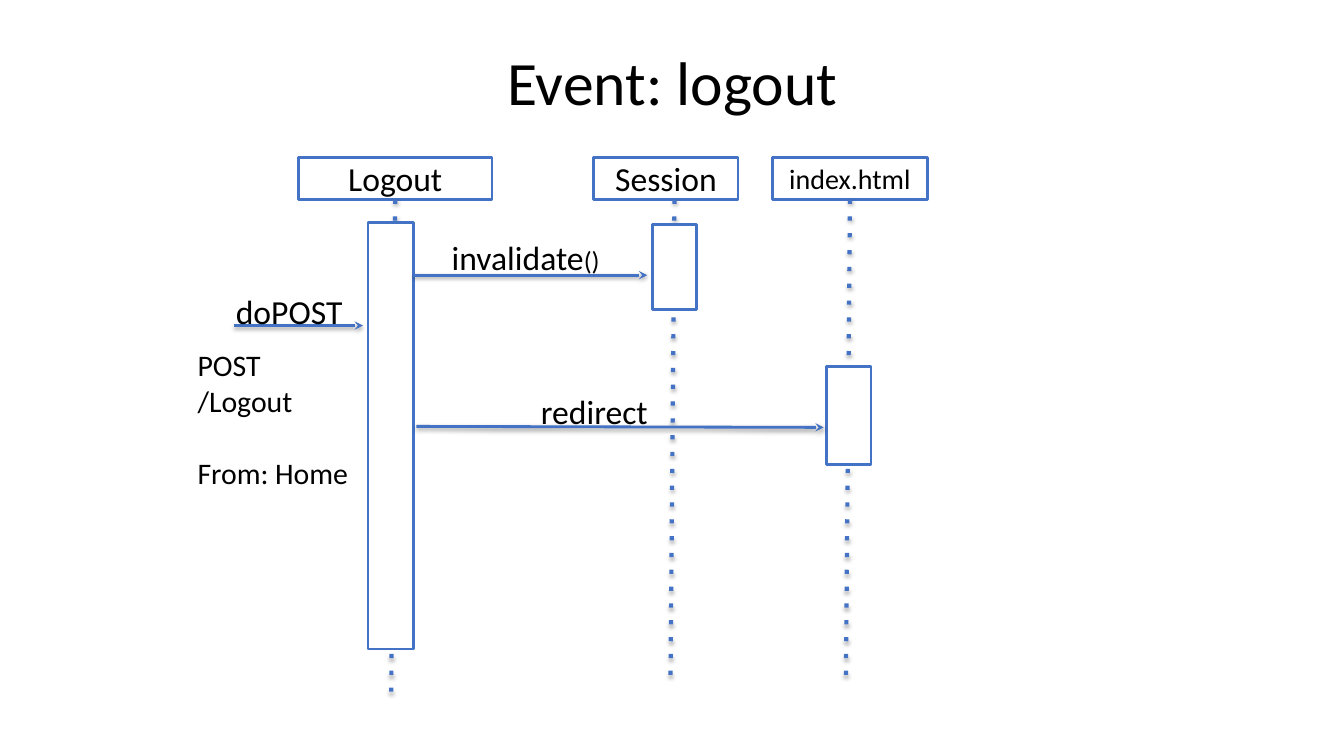
"""Build the sequence diagram slide for the logout event."""
from dataclasses import dataclass

from lxml import etree
from pptx import Presentation
from pptx.dml.color import RGBColor
from pptx.enum.shapes import MSO_CONNECTOR, MSO_SHAPE
from pptx.enum.text import MSO_ANCHOR, MSO_AUTO_SIZE, PP_ALIGN
from pptx.oxml.ns import qn
from pptx.util import Inches, Pt

STRAIGHT = MSO_CONNECTOR.STRAIGHT
RECTANGLE = MSO_SHAPE.RECTANGLE
TOP, MIDDLE = MSO_ANCHOR.TOP, MSO_ANCHOR.MIDDLE
LEFT, CENTER = PP_ALIGN.LEFT, PP_ALIGN.CENTER
NO_AUTOFIT = MSO_AUTO_SIZE.NONE
TITLE_ONLY = 5

FONT = "Calibri"
BLACK, WHITE, BLUE = "000000", "FFFFFF", "4472C4"
HEAD_TOP, HEAD_HEIGHT = 1.56, 0.42
REQUEST_SIZE = 21.3

Box = tuple[float, float, float, float]
Point = tuple[float, float]
Runs = list[tuple[str, float]]


@dataclass
class Participant:
    name: str
    size: float
    left: float
    width: float
    lifeline_x: float
    lifeline_end: Point
    activation: Box


@dataclass
class Message:
    start: Point
    end: Point
    label: Runs
    label_box: Box
    align: PP_ALIGN = LEFT


PARTICIPANTS = [
    Participant("Logout", 24, 2.96, 1.92, 3.92, (3.88, 6.89), (3.65, 2.21, 0.45, 4.23)),
    Participant("Session", 24, 5.89, 1.43, 6.69, (6.65, 6.73), (6.47, 2.23, 0.44, 0.84)),
    Participant("index.html", 20, 7.66, 1.54, 8.43, (8.39, 6.73), (8.2, 3.64, 0.44, 0.97)),
]

MESSAGES = [
    Message((2.32, 3.23), (3.6, 3.23), [("doPOST", 24)], (2.21, 2.82, 1.34, 0.4)),
    Message((4.1, 2.73), (6.42, 2.73), [("invalidate", 24), ("()", 18.7)],
            (4.35, 2.28, 2.34, 0.34)),
    Message((4.13, 4.23), (8.17, 4.24), [("redirect", 24)],
            (4.35, 3.81, 3.09, 0.37), CENTER),
]

REQUEST = [[("POST", REQUEST_SIZE)], [("/Logout", REQUEST_SIZE)], [("From: Home", REQUEST_SIZE)]]


def rgb(colour: str) -> RGBColor:
    """Turn a hex string into a colour."""
    return RGBColor.from_string(colour)


def write(frame, paragraphs: list[Runs], *, align=LEFT, anchor=TOP,
          line_spacing=None, last_gap: float = 0) -> None:
    """Fill a text frame with formatted paragraphs."""
    frame.word_wrap = True
    frame.auto_size = NO_AUTOFIT
    frame.vertical_anchor = anchor
    frame.margin_left = frame.margin_right = Inches(0.13)
    frame.margin_top = frame.margin_bottom = Inches(0.07)
    for index, runs in enumerate(paragraphs):
        paragraph = frame.add_paragraph() if index else frame.paragraphs[0]
        paragraph.alignment = align
        if line_spacing:
            paragraph.line_spacing = line_spacing
        if last_gap and index == len(paragraphs) - 1:
            paragraph.space_before = Pt(last_gap)
        for text, size in runs:
            run = paragraph.add_run()
            run.text = text
            run.font.name = FONT
            run.font.size = Pt(size)
            run.font.color.rgb = rgb(BLACK)


def add_label(slide, box: Box, paragraphs: list[Runs], **text_format) -> None:
    """Add a text box with formatted text."""
    label = slide.shapes.add_textbox(*map(Inches, box))
    write(label.text_frame, paragraphs, **text_format)


def add_outlined_box(slide, box: Box):
    """Add a white rectangle with a blue outline."""
    rectangle = slide.shapes.add_shape(RECTANGLE, *map(Inches, box))
    rectangle.shadow.inherit = False
    rectangle.fill.solid()
    rectangle.fill.fore_color.rgb = rgb(WHITE)
    rectangle.line.color.rgb = rgb(BLUE)
    rectangle.line.width = Pt(2)
    return rectangle


def add_line(slide, start: Point, end: Point, *, width: float, ending: str,
             value: dict[str, str], opacity: int, distance: float) -> None:
    """Add a blue line with a dash or arrowhead element and a soft shadow."""
    line = slide.shapes.add_connector(STRAIGHT, *map(Inches, (*start, *end)))
    line.line.color.rgb = rgb(BLUE)
    line.line.width = Pt(width)
    properties = line.element.spPr
    etree.SubElement(properties.get_or_add_ln(), qn(ending), value)
    effects = etree.SubElement(properties, qn("a:effectLst"))
    shadow = etree.SubElement(effects, qn("a:outerShdw"), {
        "blurRad": str(Pt(3.1)), "dist": str(Pt(distance)),
        "dir": "5400000", "rotWithShape": "0"})
    shade = etree.SubElement(shadow, qn("a:srgbClr"), val=BLACK)
    etree.SubElement(shade, qn("a:alpha"), val=str(opacity * 1000))


def add_participant(slide, participant: Participant) -> None:
    """Draw a participant's head, lifeline and activation bar."""
    head = add_outlined_box(
        slide, (participant.left, HEAD_TOP, participant.width, HEAD_HEIGHT))
    write(head.text_frame, [[(participant.name, participant.size)]],
          align=CENTER, anchor=MIDDLE)
    add_line(slide, (participant.lifeline_x, HEAD_TOP + HEAD_HEIGHT),
             participant.lifeline_end, width=3, ending="a:prstDash",
             value={"val": "dot"}, opacity=35, distance=1.8)
    add_outlined_box(slide, participant.activation)


def add_message(slide, message: Message) -> None:
    """Draw a message arrow and its label."""
    add_line(slide, message.start, message.end, width=2, ending="a:tailEnd",
             value={"type": "stealth"}, opacity=38, distance=1.6)
    add_label(slide, message.label_box, [message.label], align=message.align)


def main() -> None:
    """Build and save the slide."""
    deck = Presentation()
    deck.slide_width, deck.slide_height = Inches(13.33), Inches(7.5)
    slide = deck.slides.add_slide(deck.slide_layouts[TITLE_ONLY])
    title = slide.shapes.title
    title.left, title.top, title.width, title.height = map(Inches, (0.67, 0.3, 12, 1.1))
    write(title.text_frame, [[("Event: logout", 44)]],
          align=CENTER, anchor=MIDDLE, line_spacing=0.9)
    for participant in PARTICIPANTS:
        add_participant(slide, participant)
    for message in MESSAGES:
        add_message(slide, message)
    add_label(slide, (1.83, 3.37, 1.76, 3.07), REQUEST, last_gap=26)
    deck.save("out.pptx")


if __name__ == "__main__":
    main()
